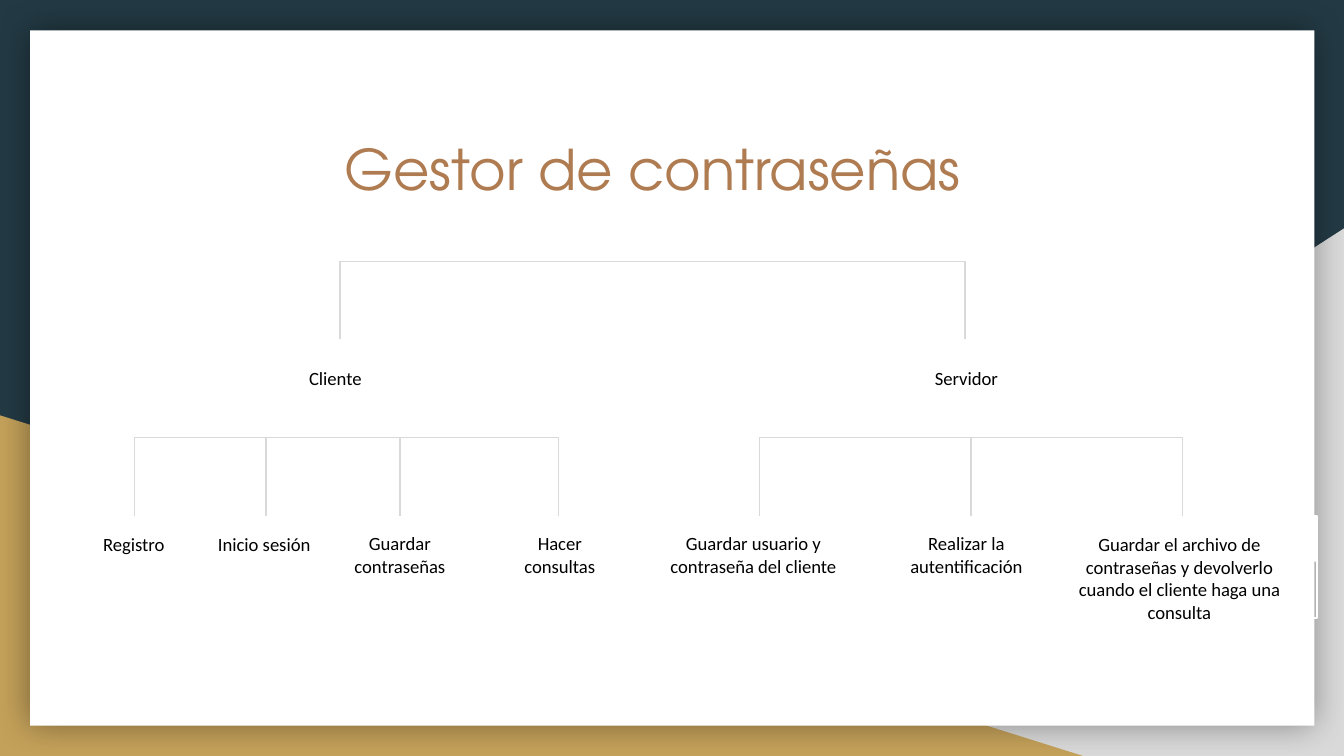
from dataclasses import dataclass

from lxml import etree
from pptx import Presentation
from pptx.dml.color import RGBColor
from pptx.enum.shapes import MSO_CONNECTOR, MSO_SHAPE
from pptx.enum.text import MSO_ANCHOR, MSO_AUTO_SIZE, PP_ALIGN
from pptx.oxml.ns import qn
from pptx.util import Inches, Pt

ELBOW, STRAIGHT = MSO_CONNECTOR.ELBOW, MSO_CONNECTOR.STRAIGHT
RECTANGLE, TRIANGLE = MSO_SHAPE.RECTANGLE, MSO_SHAPE.RIGHT_TRIANGLE
TOP, MIDDLE = MSO_ANCHOR.TOP, MSO_ANCHOR.MIDDLE
CENTER = PP_ALIGN.CENTER
NO_AUTOFIT = MSO_AUTO_SIZE.NONE
TITLE_ONLY = 5


@dataclass(frozen=True)
class Theme:
    background: str = "233A44"
    gray: str = "D9D9D9"
    gold: str = "C4A15A"
    white: str = "FFFFFF"
    title: str = "AF7B51"
    text: str = "000000"
    title_font: str = "TeX Gyre Adventor"
    body_font: str = "Calibri"
    title_size: float = 30
    body_size: float = 10
    line_width: float = 0.75


THEME = Theme()
COLUMNS = 100
WIDTH, HEIGHT = Inches(10), Inches(5.625)
CELL = WIDTH // COLUMNS  # square grid cell

LABEL_WIDTH = 15.8
BRANCH_TOP, BRANCH_BOTTOM = 32.55, 38.4
# Label text, centre column, centre row, width
BRANCH_LABELS = [
    ("Cliente", 24.95, 28.15, LABEL_WIDTH),
    ("Servidor", 71.9, 28.15, LABEL_WIDTH),
]
LEAF_LABELS = [
    ("Registro", 9.95, 40.5, LABEL_WIDTH),
    ("Inicio sesión", 19.65, 40.5, LABEL_WIDTH),
    ("Guardar\ncontraseñas", 29.75, 41.25, LABEL_WIDTH),
    ("Hacer\nconsultas", 41.65, 41.25, LABEL_WIDTH),
    ("Guardar usuario y contraseña del cliente", 56.05, 41.25, LABEL_WIDTH),
    ("Realizar la autentificación", 71.9, 41.25, LABEL_WIDTH),
    ("Guardar el archivo de contraseñas y devolverlo cuando el cliente "
     "haga una consulta", 87.75, 43, 17),
]


def cells(*values):
    return [round(value * CELL) for value in values]


def color(value):
    return RGBColor.from_string(value)


def add_panel(slide, kind, box, fill=None, line=None, mirrored=False):
    shape = slide.shapes.add_shape(kind, *cells(*box))
    shape.shadow.inherit = False
    if fill:
        shape.fill.solid()
        shape.fill.fore_color.rgb = color(fill)
    else:
        shape.fill.background()
    if line:
        shape.line.color.rgb = color(line)
        shape.line.width = Pt(THEME.line_width)
    else:
        shape.line.fill.background()
    if mirrored:
        shape._element.spPr.xfrm.set("flipH", "1")
    return shape


def add_glow_shadow(shape):
    """Give the shape a soft black shadow spreading evenly on all sides."""
    effects = shape._element.spPr.find(qn("a:effectLst"))
    shadow = etree.SubElement(effects, qn("a:outerShdw"), blurRad=str(Pt(18)),
                              dist="0", algn="ctr", rotWithShape="0")
    black = etree.SubElement(shadow, qn("a:srgbClr"), val="000000")
    etree.SubElement(black, qn("a:alpha"), val="40000")


def format_text(text_frame, anchor, font_name, size, font_color):
    text_frame.word_wrap = True
    text_frame.auto_size = NO_AUTOFIT
    text_frame.vertical_anchor = anchor
    text_frame.margin_left = text_frame.margin_right = Inches(0.1)
    text_frame.margin_top = text_frame.margin_bottom = Inches(0.1)
    for paragraph in text_frame.paragraphs:
        paragraph.alignment = CENTER
        for run in paragraph.runs:
            run.font.name = font_name
            run.font.size = Pt(size)
            run.font.color.rgb = color(font_color)


def set_title(slide, text, box):
    """Fill the title placeholder and bring it in front of the backdrop."""
    title = slide.shapes.title
    title.left, title.top, title.width, title.height = cells(*box)
    title.text_frame.text = text
    format_text(title.text_frame, TOP, THEME.title_font, THEME.title_size,
                THEME.title)
    slide.shapes._spTree.append(title._element)


def add_label(slide, text, center, middle, width, height):
    box = slide.shapes.add_textbox(
        *cells(center - width / 2, middle - height / 2, width, height))
    box.text_frame.text = text
    format_text(box.text_frame, MIDDLE, THEME.body_font, THEME.body_size,
                THEME.text)


def add_line(slide, kind, start, end):
    connector = slide.shapes.add_connector(kind, *cells(*start, *end))
    connector.line.color.rgb = color(THEME.gray)
    connector.line.width = Pt(THEME.line_width)
    properties = connector._element.spPr
    etree.SubElement(properties, qn("a:effectLst"))
    if kind == ELBOW:
        guides = properties.find(qn("a:prstGeom")).find(qn("a:avLst"))
        etree.SubElement(guides, qn("a:gd"), name="adj1", fmla="val 100000")


def add_branches(slide, hub, children, top, bottom):
    """Join a hub to its children: elbows to the outer ones, drops between."""
    first, *inner, last = children
    for child in inner:
        add_line(slide, STRAIGHT, (child, top), (child, bottom))
    for child in (first, last):
        add_line(slide, ELBOW, (hub, top), (child, bottom))


def add_backdrop(slide):
    slide.background.fill.solid()
    slide.background.fill.fore_color.rgb = color(THEME.background)
    add_panel(slide, TRIANGLE, (39.2, 17, 60.8, 39.25), THEME.gray,
              mirrored=True)
    add_panel(slide, TRIANGLE, (0, 30.9, 80.6, 25.35), THEME.gold)
    card = add_panel(slide, RECTANGLE, (2.25, 2.25, 95.55, 51.75),
                     THEME.white)
    add_glow_shadow(card)


def main():
    presentation = Presentation()
    presentation.slide_width, presentation.slide_height = WIDTH, HEIGHT
    slide = presentation.slides.add_slide(
        presentation.slide_layouts[TITLE_ONLY])

    add_backdrop(slide)
    set_title(slide, "Gestor de contraseñas", (7.5, 9, 82.1, 10.4))
    add_panel(slide, RECTANGLE, (82.2, 38.4, LABEL_WIDTH, 7.6),
              line=THEME.white)
    add_panel(slide, RECTANGLE, (82.2, 38.4, LABEL_WIDTH, 3.4), THEME.white)

    add_branches(slide, 47.1, (25.3, 71.8), 19.45, 25.25)
    add_branches(slide, 25.8, (10, 19.8, 29.75, 41.55), BRANCH_TOP,
                 BRANCH_BOTTOM)
    add_branches(slide, 72.25, (56.5, 72.25, 88), BRANCH_TOP, BRANCH_BOTTOM)

    for label in BRANCH_LABELS:
        add_label(slide, *label, height=2.1)
    for label in LEAF_LABELS:
        add_label(slide, *label, height=5.8)

    presentation.save("out.pptx")


if __name__ == "__main__":
    main()
